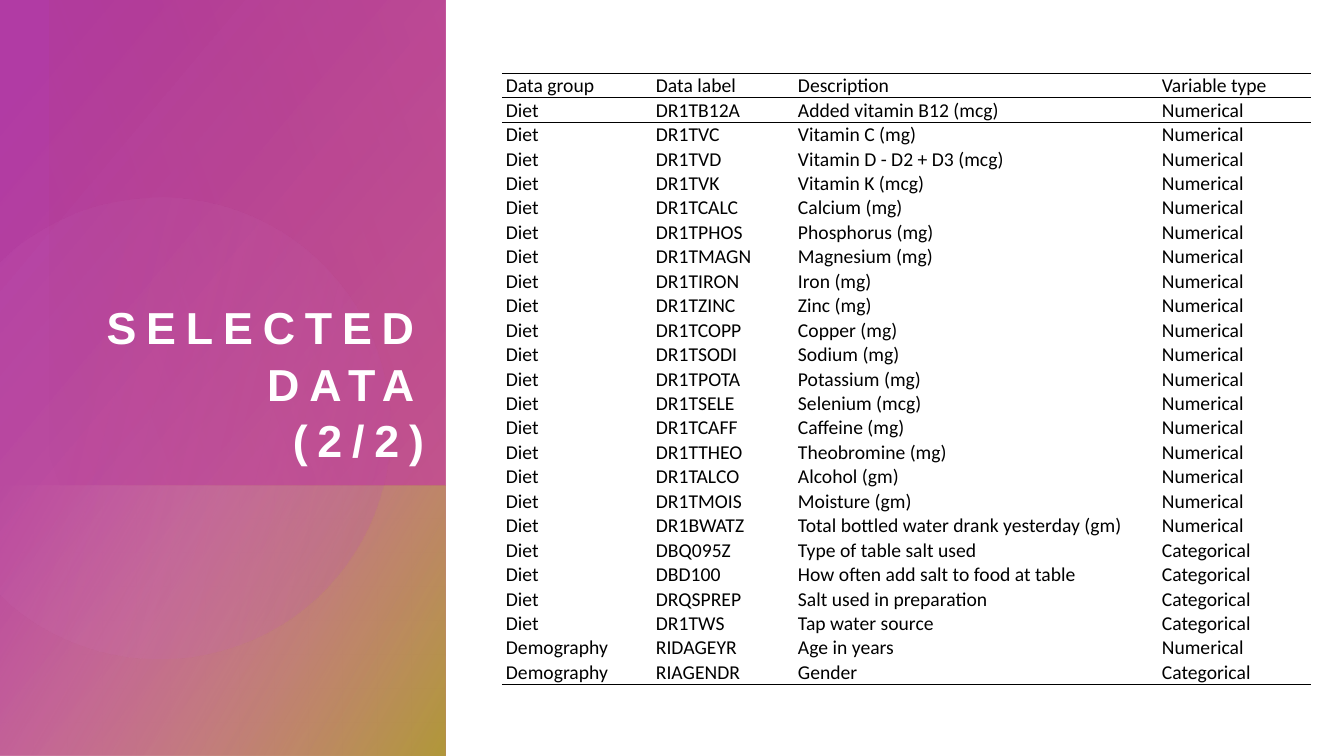
"""Build the slide listing the second half of the selected data."""
from math import cos, radians, sin

from pptx import Presentation
from pptx.dml.color import RGBColor
from pptx.enum.shapes import MSO_SHAPE as SHAPE
from pptx.enum.text import MSO_ANCHOR as ANCHOR, PP_ALIGN as ALIGN
from pptx.oxml import parse_xml
from pptx.oxml.ns import nsdecls, qn
from pptx.util import Cm, Pt

TITLE = "SELECTED DATA\v(2/2)"
HEADER = ("Data group", "Data label", "Description", "Variable type")
NUM, CAT = "Numerical", "Categorical"
GROUPS = {
    "Diet": [
        ("DR1TB12A", "Added vitamin B12 (mcg)", NUM),
        ("DR1TVC", "Vitamin C (mg)", NUM),
        ("DR1TVD", "Vitamin D - D2 + D3 (mcg)", NUM),
        ("DR1TVK", "Vitamin K (mcg)", NUM),
        ("DR1TCALC", "Calcium (mg)", NUM),
        ("DR1TPHOS", "Phosphorus (mg)", NUM),
        ("DR1TMAGN", "Magnesium (mg)", NUM),
        ("DR1TIRON", "Iron (mg)", NUM),
        ("DR1TZINC", "Zinc (mg)", NUM),
        ("DR1TCOPP", "Copper (mg)", NUM),
        ("DR1TSODI", "Sodium (mg)", NUM),
        ("DR1TPOTA", "Potassium (mg)", NUM),
        ("DR1TSELE", "Selenium (mcg)", NUM),
        ("DR1TCAFF", "Caffeine (mg)", NUM),
        ("DR1TTHEO", "Theobromine (mg)", NUM),
        ("DR1TALCO", "Alcohol (gm)", NUM),
        ("DR1TMOIS", "Moisture (gm)", NUM),
        ("DR1BWATZ", "Total bottled water drank yesterday (gm)", NUM),
        ("DBQ095Z", "Type of table salt used", CAT),
        ("DBD100", "How often add salt to food at table", CAT),
        ("DRQSPREP", "Salt used in preparation", CAT),
        ("DR1TWS", "Tap water source", CAT),
    ],
    "Demography": [
        ("RIDAGEYR", "Age in years", NUM),
        ("RIAGENDR", "Gender", CAT),
    ],
}
COL_WIDTHS = (3.78, 3.58, 9.17, 3.86)
TABLE_LEFT, TABLE_TOP, TABLE_HEIGHT = 12.65, 1.85, 15.42
NO_GRID_STYLE = "{2D5ABB26-0587-4C30-8999-92F81FD0307C}"

WHITE = RGBColor(0xFF, 0xFF, 0xFF)
BLACK = RGBColor(0x00, 0x00, 0x00)
PURPLE = RGBColor(0xB1, 0x3B, 0xA4)
PINK = RGBColor(0xC3, 0x4D, 0x85)
RED = RGBColor(0xB1, 0x3B, 0x41)
ROSE = RGBColor(0xDB, 0x94, 0xB6)
OLIVE = RGBColor(0xB1, 0x97, 0x3B)
ORCHID = RGBColor(0xD6, 0x84, 0xCD)

SIDE_PANEL = ((-3.91, 3.91, 19.05, 11.23), 270,
              [(8, PURPLE, 100), (100, PINK, 89)], 50)
CORNER_PANEL = ((2.2, 10.03, 6.83, 11.23), 270,
                [(0, ROSE, 0), (99, OLIVE, 100)], 60)
TOP_PANEL = ((0.13, 1.14, 12.22, 9.96), 90,
             [(0, PINK, 29), (100, RED, 0)], 110)

DISC_STOPS, DISC_ANGLE = [(36, ORCHID, 6), (100, PURPLE, 26)], 30
DISC_CENTER, DISC_TURN = (4.41, 10.68), 343.9
DISC_START = (4.17, 4.98)
DISC_PATH = [
    [(6.63, 5.03), (8.89, 6.68), (9.6, 9.19)],
    [(10.49, 12.27), (8.71, 15.49), (5.64, 16.36)],
    [(3.71, 16.92), (1.73, 16.43), (0.3, 15.24)],
    [(0, 14.96)],
    [(0, 6.63)],
    [(0.38, 6.27)],
    [(0.97, 5.82), (1.65, 5.44), (2.41, 5.21)],
    [(3, 5.05), (3.58, 4.98), (4.17, 4.98)],
]
CURVE_STEPS = 24


def set_gradient(sp, stops, angle):
    gs = "".join(
        f'<a:gs pos="{pos * 1000}"><a:srgbClr val="{color}">'
        f'<a:alpha val="{alpha * 1000}"/></a:srgbClr></a:gs>'
        for pos, color, alpha in stops)
    sp.shadow.inherit = False
    sp.line.fill.background()
    sp._element.spPr.find(qn("a:ln")).addprevious(parse_xml(
        f'<a:gradFill {nsdecls("a")} rotWithShape="1"><a:gsLst>{gs}</a:gsLst>'
        f'<a:lin ang="{angle * 60000}" scaled="0"/></a:gradFill>'))


def add_panel(slide, box, turn, stops, angle):
    sp = slide.shapes.add_shape(SHAPE.RECTANGLE, *map(Cm, box))
    sp.rotation = turn
    sp._element.spPr.get_or_add_xfrm().set("flipH", "1")
    set_gradient(sp, stops, angle)


def disc_points():
    points = [DISC_START]
    for seg in DISC_PATH:
        if len(seg) == 1:
            points += seg
            continue
        ctrl = [points[-1], *seg]
        for i in range(1, CURVE_STEPS + 1):
            t = i / CURVE_STEPS
            weights = ((1 - t) ** 3, 3 * t * (1 - t) ** 2, 3 * t * t * (1 - t), t ** 3)
            points.append(tuple(sum(w * c[k] for w, c in zip(weights, ctrl)) for k in (0, 1)))
    return points


def add_disc(slide):
    cx, cy = DISC_CENTER
    a = radians(-DISC_TURN)
    points = [(Cm(cx + (x - cx) * cos(a) - (y - cy) * sin(a)),
               Cm(cy + (x - cx) * sin(a) + (y - cy) * cos(a))) for x, y in disc_points()]
    builder = slide.shapes.build_freeform(*points[0])
    builder.add_line_segments(points[1:], close=True)
    sp = builder.convert_to_shape()
    sp.rotation = DISC_TURN
    set_gradient(sp, DISC_STOPS, DISC_ANGLE)


def add_title(slide):
    tf = slide.shapes.add_textbox(Cm(1.27), Cm(2.41), Cm(9.42), Cm(9.35)).text_frame
    tf.word_wrap = True
    tf.vertical_anchor = ANCHOR.BOTTOM
    tf.margin_left = tf.margin_right = tf.margin_top = tf.margin_bottom = 0
    p = tf.paragraphs[0]
    p.text = TITLE
    p.alignment = ALIGN.RIGHT
    p.line_spacing = 1.05
    p.font.name, p.font.size, p.font.bold = "Arial", Pt(32), True
    p.font.color.rgb = WHITE
    for r in p.runs:
        r._r.get_or_add_rPr().set("spc", "700")


def add_border(cell, side):
    cell._tc.get_or_add_tcPr().append(parse_xml(
        f'<a:{side} {nsdecls("a")} w="{Pt(1)}"><a:solidFill>'
        f'<a:srgbClr val="{BLACK}"/></a:solidFill></a:{side}>'))


def add_data_table(slide):
    rows = [HEADER] + [(group, *row) for group, items in GROUPS.items() for row in items]
    tbl = slide.shapes.add_table(
        len(rows), len(HEADER), Cm(TABLE_LEFT), Cm(TABLE_TOP),
        Cm(sum(COL_WIDTHS)), Cm(TABLE_HEIGHT)).table
    tbl.first_row = tbl.horz_banding = False
    tbl._tbl.tblPr.find(qn("a:tableStyleId")).text = NO_GRID_STYLE
    for col, width in zip(tbl.columns, COL_WIDTHS):
        col.width = Cm(width)
    borders = {0: ("lnT", "lnB"), 1: ("lnT",), len(rows) - 1: ("lnB",)}
    for i, row in enumerate(rows):
        for j, text in enumerate(row):
            cell = tbl.cell(i, j)
            cell.margin_left = cell.margin_right = Cm(0.1)
            cell.margin_top, cell.margin_bottom = Cm(0.01), 0
            cell.vertical_anchor = ANCHOR.BOTTOM
            for side in borders.get(i, ()):
                add_border(cell, side)
            cell.fill.background()
            p = cell.text_frame.paragraphs[0]
            p.text = text
            p.font.name, p.font.size = "Calibri", Pt(14)
            p.font.color.rgb = BLACK


def main():
    prs = Presentation()
    prs.slide_width, prs.slide_height = Cm(33.87), Cm(19.05)
    slide = prs.slides.add_slide(prs.slide_layouts[6])
    slide.background.fill.solid()
    slide.background.fill.fore_color.rgb = WHITE
    add_panel(slide, *SIDE_PANEL)
    add_panel(slide, *CORNER_PANEL)
    add_disc(slide)
    add_panel(slide, *TOP_PANEL)
    add_title(slide)
    add_data_table(slide)
    prs.save("out.pptx")


if __name__ == "__main__":
    main()
